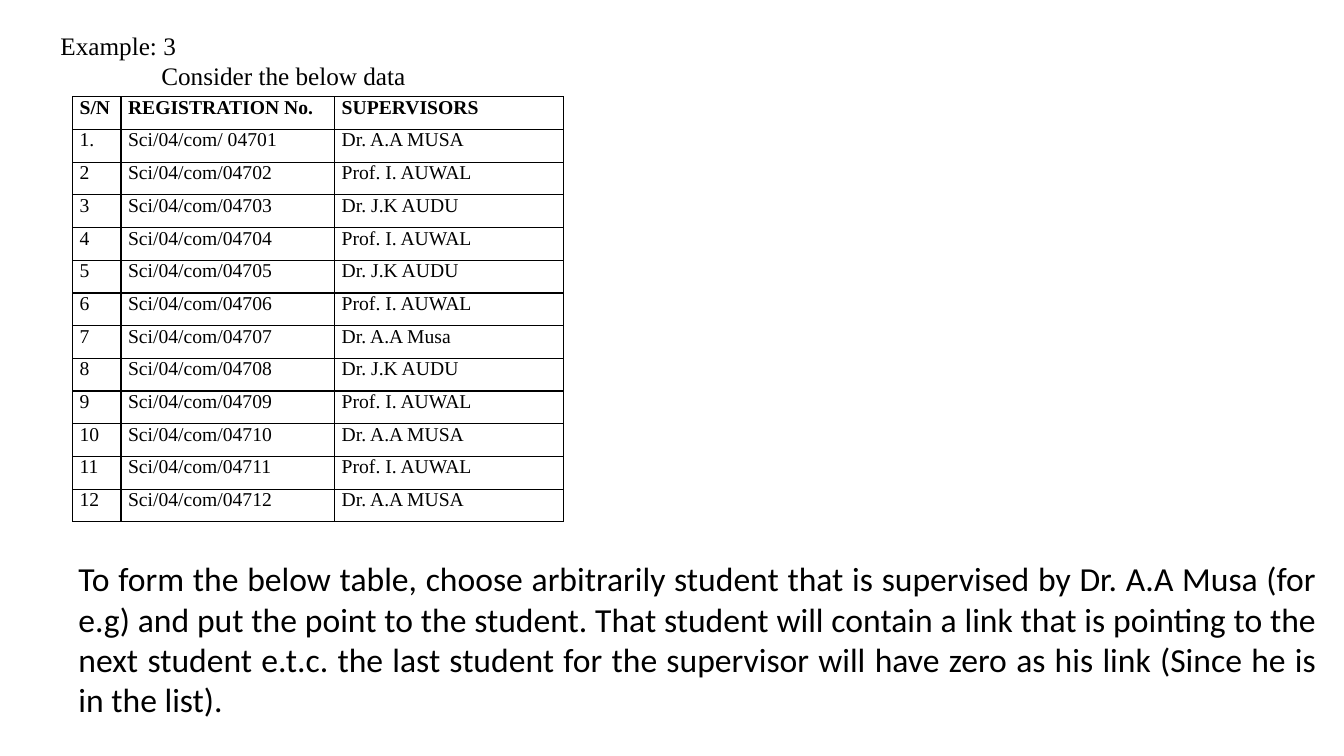
import pptx
import pptx.util
import pptx.dml.color
import pptx.enum.text
import pptx.oxml

HEAD = ["Example: 3", "Consider the below data"]
COLS = ["S/N", "REGISTRATION No.", "SUPERVISORS"]
ROWS = [
    ("1.", "Sci/04/com/ 04701", "Dr. A.A MUSA"),
    ("2", "Sci/04/com/04702", "Prof. I. AUWAL"),
    ("3", "Sci/04/com/04703", "Dr. J.K AUDU"),
    ("4", "Sci/04/com/04704", "Prof. I. AUWAL"),
    ("5", "Sci/04/com/04705", "Dr. J.K AUDU"),
    ("6", "Sci/04/com/04706", "Prof. I. AUWAL"),
    ("7", "Sci/04/com/04707", "Dr. A.A Musa"),
    ("8", "Sci/04/com/04708", "Dr. J.K AUDU"),
    ("9", "Sci/04/com/04709", "Prof. I. AUWAL"),
    ("10", "Sci/04/com/04710", "Dr. A.A MUSA"),
    ("11", "Sci/04/com/04711", "Prof. I. AUWAL"),
    ("12", "Sci/04/com/04712", "Dr. A.A MUSA"),
]
NOTE = (
    "To form the below table, choose arbitrarily student that is supervised by "
    "Dr. A.A Musa (for e.g) and put the point to the student. That student will "
    "contain a link that is pointing to the next student e.t.c. the last student "
    "for the supervisor will have zero as his link (Since he is in the list)."
)
HUES = {"ink": "000000"}
SERIF, SANS = "Times New Roman", "Calibri"
WIDTHS = [0.48, 2.12, 2.27]
TALL = 4.22

Inch = pptx.util.Inches
Pt = pptx.util.Pt


def style(frame, size, face, bold=False):
    for para in frame.paragraphs:
        para.alignment = pptx.enum.text.PP_ALIGN.JUSTIFY
        for run in para.runs:
            run.font.size = Pt(size)
            run.font.name = face
            run.font.bold = bold
            run.font.color.rgb = pptx.dml.color.RGBColor.from_string(HUES["ink"])


def border(cell):
    props = cell._tc.get_or_add_tcPr()
    for i, side in enumerate(("lnL", "lnR", "lnT", "lnB")):
        line = pptx.oxml.parse_xml(
            f'<a:{side} xmlns:a="http://schemas.openxmlformats.org/drawingml/2006/main" '
            f'w="{Pt(1)}"><a:solidFill><a:srgbClr val="{HUES["ink"]}"/></a:solidFill></a:{side}>'
        )
        props.insert(i, line)


def place(shape, left, top, width, height):
    shape.left, shape.top = Inch(left), Inch(top)
    shape.width, shape.height = Inch(width), Inch(height)


def add_grid(slide):
    data = [COLS] + ROWS
    frame = slide.shapes.add_table(
        len(data), len(COLS), Inch(0.72), Inch(0.96), Inch(sum(WIDTHS)), Inch(TALL)
    )
    grid = frame.table
    for col, width in zip(grid.columns, WIDTHS):
        col.width = Inch(width)
    for r, row in enumerate(data):
        grid.rows[r].height = Inch(TALL / len(data))
        for c, text in enumerate(row):
            cell = grid.cell(r, c)
            cell.text_frame.text = text
            cell.margin_left = cell.margin_right = Inch(0.07)
            cell.margin_top = cell.margin_bottom = 0
            cell.fill.background()
            border(cell)
            style(cell.text_frame, 14, SERIF, r == 0)


def main():
    deck = pptx.Presentation()
    deck.slide_width, deck.slide_height = Inch(13.33), Inch(7.5)
    slide = deck.slides.add_slide(deck.slide_layouts[5])

    title = slide.shapes.title
    place(title, 0.5, 0.25, 6.67, 0.71)
    head = title.text_frame
    head.text = "\n".join(HEAD)
    head.vertical_anchor = pptx.enum.text.MSO_ANCHOR.TOP
    head.auto_size = pptx.enum.text.MSO_AUTO_SIZE.NONE
    head.paragraphs[1]._p.get_or_add_pPr().set("marL", str(Inch(1)))
    style(head, 18, SERIF)

    add_grid(slide)

    note = slide.shapes.add_textbox(0, 0, 0, 0)
    place(note, 0.68, 5.49, 12.48, 1.7)
    note.text_frame.word_wrap = True
    note.text_frame.text = NOTE
    style(note.text_frame, 24, SANS)

    deck.save("out.pptx")


if __name__ == "__main__":
    main()
